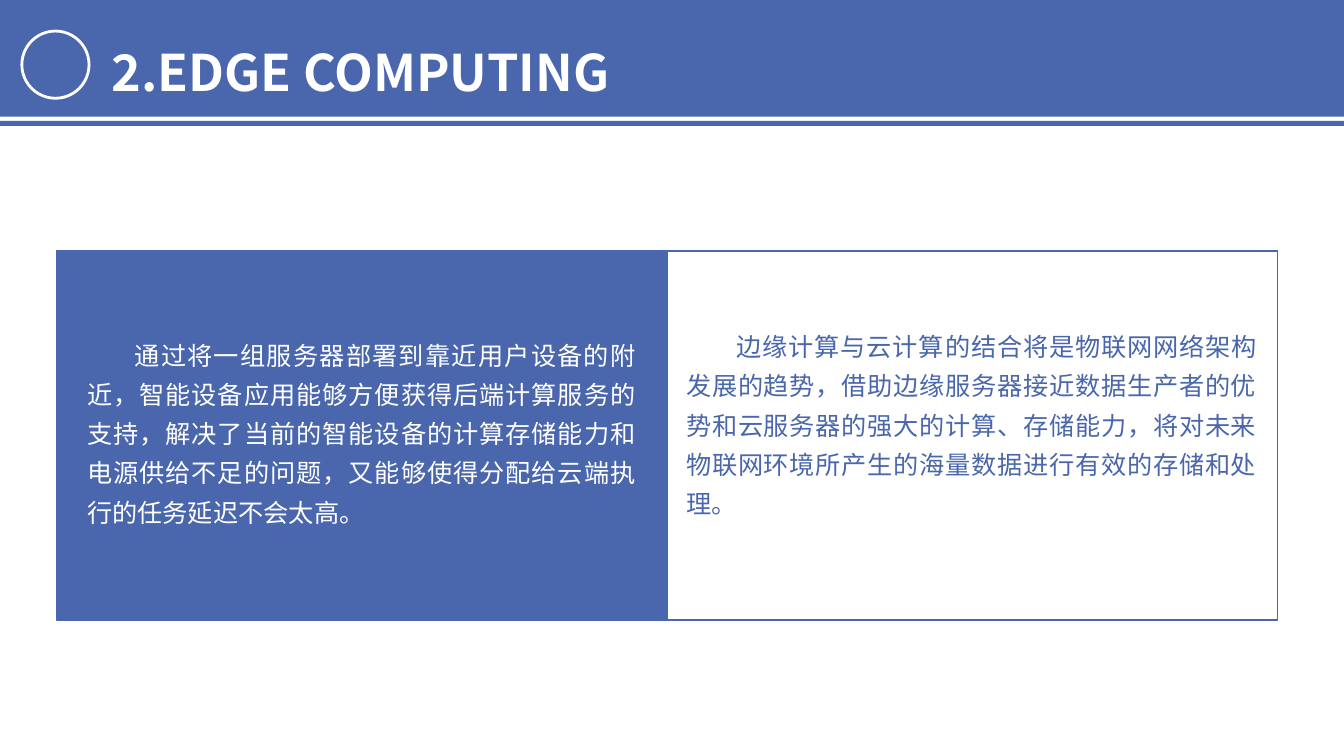
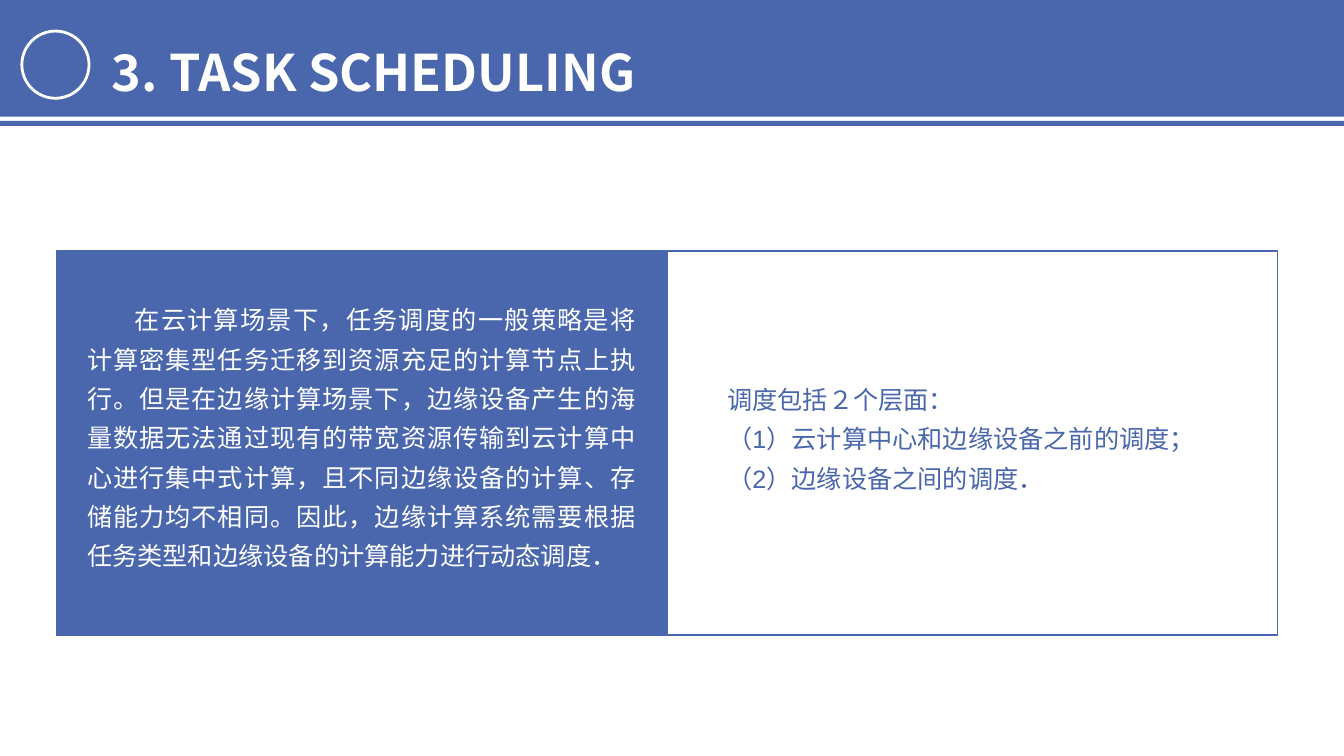
from dataclasses import dataclass

from lxml.etree import SubElement
from pptx import Presentation
from pptx.dml.color import RGBColor as Rgb
from pptx.enum.shapes import MSO_SHAPE as Shape
from pptx.enum.text import MSO_AUTO_SIZE as AutoSize, PP_ALIGN as Align
from pptx.oxml.ns import qn
from pptx.util import Inches, Pt

WIDTH, HEIGHT = Inches(13.33), Inches(7.5)
COLUMNS, ROWS = 160, 90


@dataclass(frozen=True)
class Theme:
    """Colours, fonts and type sizes of the deck."""
    blue: Rgb = Rgb.from_string("4A66AC")
    white: Rgb = Rgb.from_string("FFFFFF")
    body_font: str = "Arial"
    title_font: str = "Noto Sans CJK SC"
    body_size: int = 18
    title_size: int = 36
    body_spacing: float = 1.3
    title_spacing: float = 1.5


@dataclass(frozen=True)
class Box:
    """A region in grid columns and rows."""
    left: float
    top: float
    width: float
    height: float

    def region(self, left, top, width, height):
        """Return a region placed from this one's top left corner."""
        return Box(self.left + left, self.top + top, width, height)

    def place(self):
        """Return left, top, width and height in slide units."""
        column, row = WIDTH / COLUMNS, HEIGHT / ROWS
        return (round(self.left * column), round(self.top * row),
                round(self.width * column), round(self.height * row))


@dataclass(frozen=True)
class Passage:
    """Paragraphs and their area within a panel."""
    area: tuple
    indent: float
    paragraphs: tuple


THEME = Theme()
PAGE = Box(0, 0, COLUMNS, ROWS)


def add_block(slide, box, fill=None, line=None, weight=1, kind=Shape.RECTANGLE):
    """Draw a flat shape with an optional fill and outline."""
    block = slide.shapes.add_shape(kind, *box.place())
    block.shadow.inherit = False
    if fill is None:
        block.fill.background()
    else:
        block.fill.solid()
        block.fill.fore_color.rgb = fill
    if line is None:
        block.line.fill.background()
    else:
        block.line.color.rgb = line
        block.line.width = Pt(weight)


def add_text(slide, box, paragraphs, size, color, face, spacing,
             align=Align.LEFT, indent=0, bold=False):
    """Write paragraphs in a wrapping text box."""
    frame = slide.shapes.add_textbox(*box.place()).text_frame
    frame.word_wrap = True
    frame.auto_size = AutoSize.SHAPE_TO_FIT_TEXT
    for index, words in enumerate(paragraphs):
        paragraph = frame.add_paragraph() if index else frame.paragraphs[0]
        paragraph.alignment = align
        paragraph.line_spacing = spacing
        if indent:
            paragraph._p.get_or_add_pPr().set("indent", str(Inches(indent)))
        run = paragraph.add_run()
        run.text = words
        run.font.size = Pt(size)
        run.font.bold = bold
        run.font.color.rgb = color
        run.font.name = face
        SubElement(run._r.get_or_add_rPr(), qn("a:ea")).set("typeface", THEME.title_font)


def add_header(slide, box, title):
    """Draw the title band, its underline and its ring."""
    add_block(slide, box.region(0, 0, box.width, 13.9), THEME.blue)
    add_block(slide, box.region(0, 14.4, box.width, 0.6), THEME.blue)
    add_block(slide, box.region(2.6, 3.7, 8, 8), THEME.blue, THEME.white, 2, Shape.OVAL)
    add_text(slide, box.region(12.1, 0.7, 92.3, 11), [title], THEME.title_size,
             THEME.white, THEME.title_font, THEME.title_spacing, bold=True)


def add_panel(slide, box, passage, fill, ink):
    """Draw an outlined panel with its passage."""
    add_block(slide, box, fill, THEME.blue)
    add_text(slide, box.region(*passage.area), passage.paragraphs, THEME.body_size,
             ink, THEME.body_font, THEME.body_spacing, Align.JUSTIFY, passage.indent)


def add_topic_slide(deck, title, panel_height, left, right):
    """Build a slide with a header and two adjoining panels."""
    slide = deck.slides.add_slide(deck.slide_layouts[6])
    panel = PAGE.region(6.7, 29.9, 72.7, panel_height)
    neighbour = panel.region(panel.width, 0, panel.width, panel.height)
    add_panel(slide, panel, left, THEME.blue, THEME.white)
    add_panel(slide, neighbour, right, None, THEME.blue)
    add_header(slide, PAGE.region(0, 0, PAGE.width, 15), title)


TOPICS = (
    ("2.EDGE COMPUTING", 43.9,
     Passage((2.5, 8.9, 67.7, 24.5), 0.47, (
         "通过将一组服务器部署到靠近用户设备的附近，智能设备应用能够方便获得后端计算服务的支持，"
         "解决了当前的智能设备的计算存储能力和电源供给不足的问题，"
         "又能够使得分配给云端执行的任务延迟不会太高。",)),
     Passage((1.1, 7.9, 70.3, 24.5), 0.5, (
         "边缘计算与云计算的结合将是物联网网络架构发展的趋势，"
         "借助边缘服务器接近数据生产者的优势和云服务器的强大的计算、存储能力，"
         "将对未来物联网环境所产生的海量数据进行有效的存储和处理。",))),
    ("3. TASK SCHEDULING", 45.7,
     Passage((2.5, 4.7, 67.7, 34), 0.47, (
         "在云计算场景下，任务调度的一般策略是将计算密集型任务迁移到资源充足的计算节点上执行。"
         "但是在边缘计算场景下，边缘设备产生的海量数据无法通过现有的带宽资源传输到云计算中心进行集中式计算，"
         "且不同边缘设备的计算、存储能力均不相同。"
         "因此，边缘计算系统需要根据任务类型和边缘设备的计算能力进行动态调度．",)),
     Passage((0, 14.2, 70.3, 15), 0.5, (
         "调度包括２个层面：",
         "（1）云计算中心和边缘设备之前的调度；",
         "（2）边缘设备之间的调度．"))),
)


def main():
    """Build and save the deck."""
    deck = Presentation()
    deck.slide_width, deck.slide_height = WIDTH, HEIGHT
    for topic in TOPICS:
        add_topic_slide(deck, *topic)
    deck.save("out.pptx")


if __name__ == "__main__":
    main()
